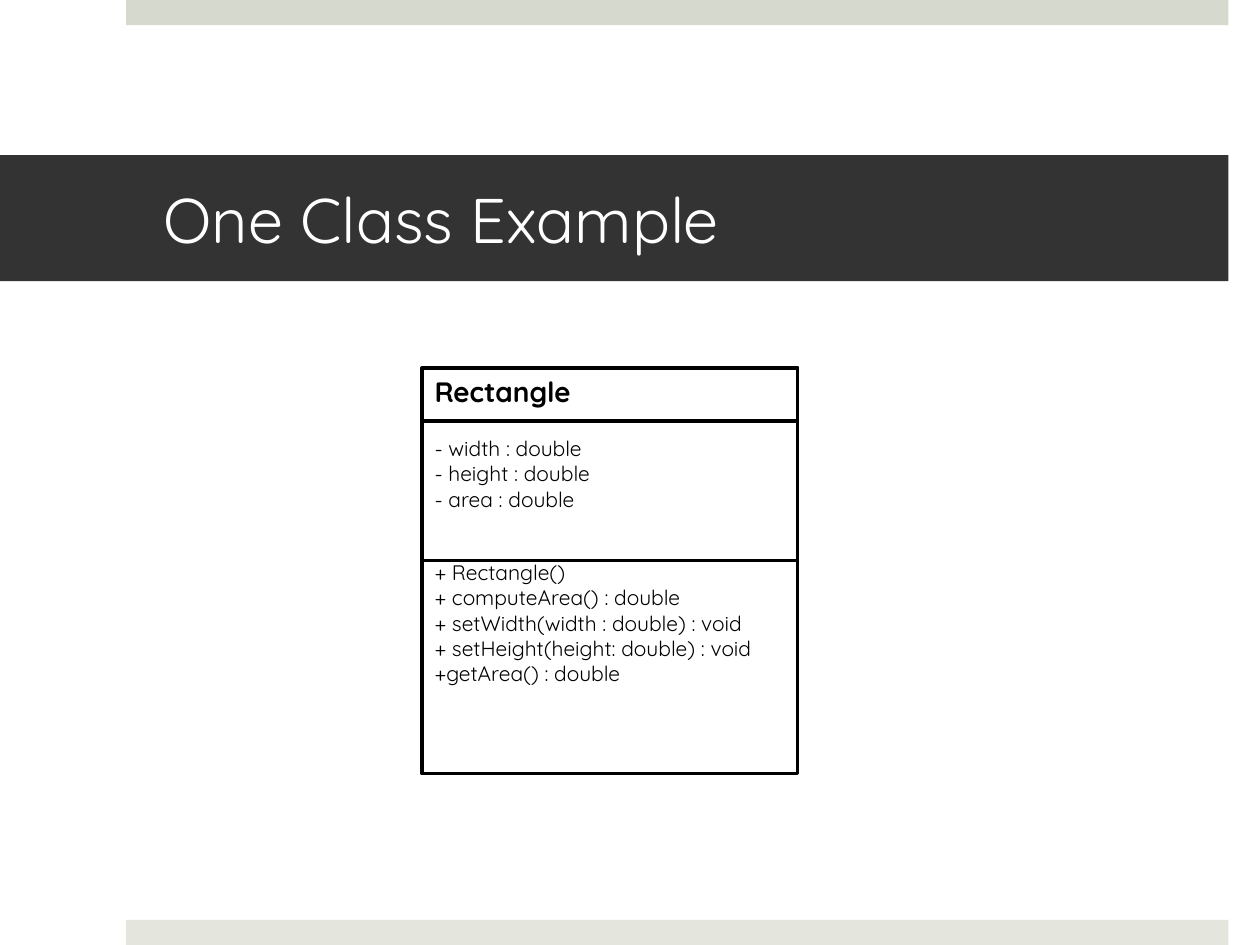
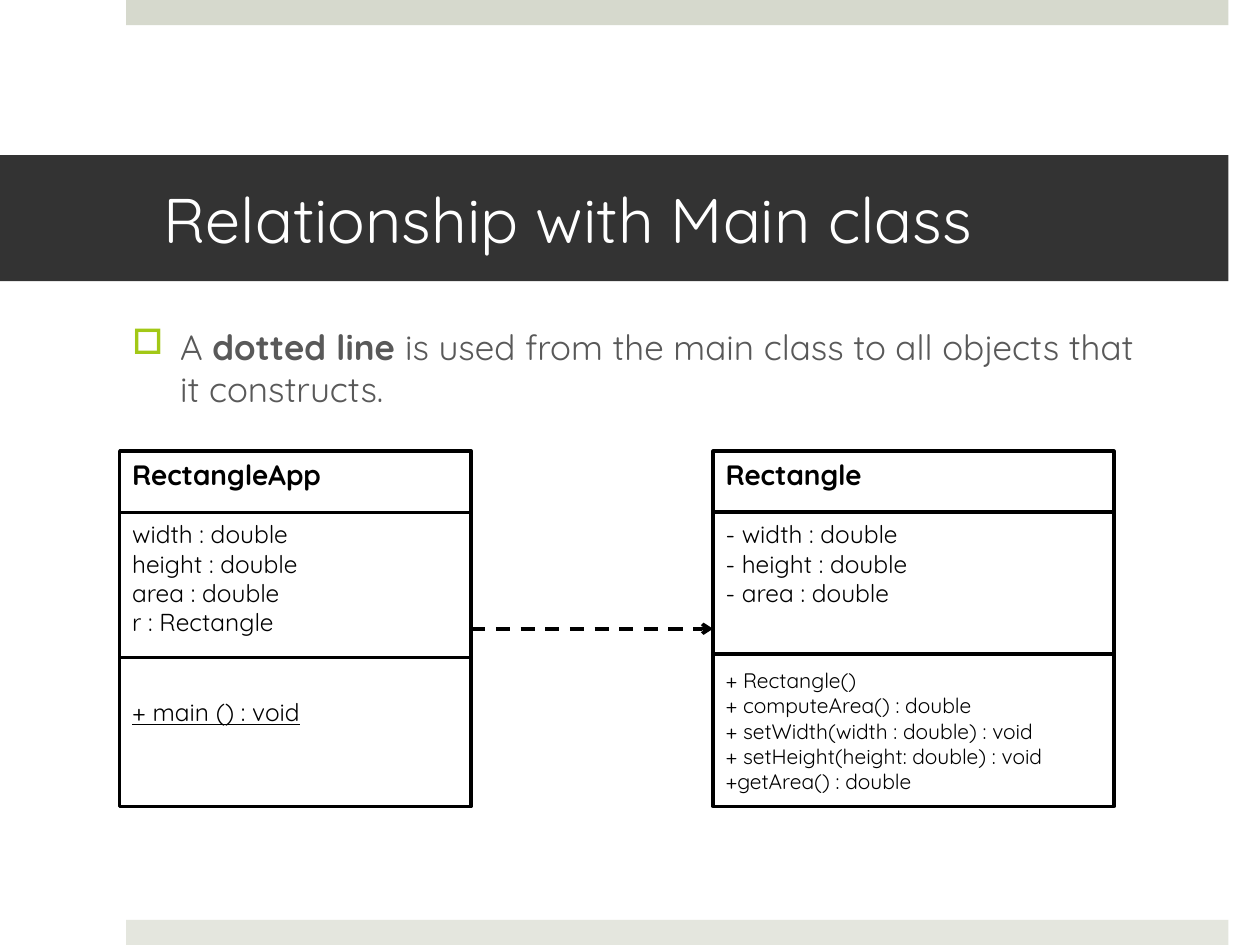
from lxml import etree
from pptx import Presentation
from pptx import util as u
from pptx.dml.color import RGBColor
from pptx.enum import dml, shapes, text
from pptx.oxml.ns import qn

FONT = "Quicksand"
COLORS = {
    "top_band": "D6D9CD",
    "bottom_band": "E4E6DE",
    "title_band": "333333",
    "white": "FFFFFF",
    "black": "000000",
    "body": "595959",
    "bullet": "A2C816",
}
BANDS = [(0, "top_band"), (525.6, "bottom_band")]
BLANK_LINE = 1.15

FIELDS = ["- width : double", "- height : double", "- area : double"]
METHODS = [
    "+ Rectangle()",
    "+ computeArea() : double",
    "+ setWidth(width : double) : void",
    "+ setHeight(height: double) : void",
    "+getArea() : double",
]
APP_FIELDS = ["width : double", "height : double", "area : double", "r : Rectangle"]

SLIDES = [
    {
        "title": "One Class Example",
        "classes": [
            {
                "name": "Rectangle",
                "box": (241.2, 210.2, 214.6, 231.8),
                "dividers": (240.5, 320.4),
                "sections": [(14, 12, False, FIELDS), (24, 12, False, METHODS)],
            },
        ],
    },
    {
        "title": "Relationship with Main class",
        "classes": [
            {
                "name": "Rectangle",
                "box": (407.5, 257.8, 229, 203),
                "dividers": (292.7, 373.7),
                "sections": [(14, 14, False, FIELDS), (30, 12, False, METHODS)],
            },
            {
                "name": "RectangleApp",
                "box": (68.4, 257.8, 200.9, 203),
                "dividers": (293, 375.8),
                "sections": [(14, 14, False, APP_FIELDS), (30, 14, True, ["+ main () : void"])],
            },
        ],
        "arrow": (269.3, 407.5, 359.3),
        "body": [
            ("A ", False),
            ("dotted line ", True),
            ("is used from the main class to all objects that it constructs.", False),
        ],
    },
]


def add_run(paragraph, words, size, color, bold=False, underline=False):
    run = paragraph.add_run()
    run.text = words
    run.font.name = FONT
    run.font.size = u.Pt(size)
    run.font.color.rgb = RGBColor.from_string(COLORS[color])
    run.font.bold = bold
    run.font.underline = underline


def add_line(slide, left, right, y):
    line = slide.shapes.add_connector(
        shapes.MSO_CONNECTOR.STRAIGHT, u.Pt(left), u.Pt(y), u.Pt(right), u.Pt(y))
    line.line.color.rgb = RGBColor.from_string(COLORS["black"])
    line.line.width = u.Pt(2)
    etree.SubElement(line._element.spPr, qn("a:effectLst"))
    return line


presentation = Presentation()
presentation.slide_width = u.Pt(720)
presentation.slide_height = u.Pt(540)

for content in SLIDES:
    slide = presentation.slides.add_slide(presentation.slide_layouts[5])

    for top, color in BANDS:
        band = slide.shapes.add_shape(
            shapes.MSO_SHAPE.RECTANGLE, u.Pt(72), u.Pt(top), u.Pt(630), u.Pt(14.4))
        band.shadow.inherit = False
        band.fill.solid()
        band.fill.fore_color.rgb = RGBColor.from_string(COLORS[color])
        band.line.fill.background()

    title = slide.shapes.title
    title.left, title.top, title.width, title.height = map(u.Pt, (0, 88.6, 702, 72))
    title.fill.solid()
    title.fill.fore_color.rgb = RGBColor.from_string(COLORS["title_band"])
    frame = title.text_frame
    frame.auto_size = text.MSO_AUTO_SIZE.NONE
    frame.vertical_anchor = text.MSO_ANCHOR.MIDDLE
    frame.margin_left, frame.margin_right = u.Pt(93.6), u.Pt(21.6)
    frame.paragraphs[0].alignment = text.PP_ALIGN.LEFT
    add_run(frame.paragraphs[0], content["title"], 36, "white")

    for uml_class in content["classes"]:
        left, top, width, height = uml_class["box"]
        box = slide.shapes.add_shape(
            shapes.MSO_SHAPE.RECTANGLE, u.Pt(left), u.Pt(top), u.Pt(width), u.Pt(height))
        box.shadow.inherit = False
        box.fill.solid()
        box.fill.fore_color.rgb = RGBColor.from_string(COLORS["white"])
        box.line.color.rgb = RGBColor.from_string(COLORS["black"])
        box.line.width = u.Pt(2)
        frame = box.text_frame
        frame.word_wrap = True
        frame.vertical_anchor = text.MSO_ANCHOR.TOP
        heading = frame.paragraphs[0]
        heading.alignment = text.PP_ALIGN.LEFT
        add_run(heading, uml_class["name"], 16, "black", bold=True)
        for gap, size, underline, members in uml_class["sections"]:
            for index, member in enumerate(members):
                paragraph = frame.add_paragraph()
                paragraph.alignment = text.PP_ALIGN.LEFT
                if index == 0:
                    paragraph.space_before = u.Pt(round(gap * BLANK_LINE, 1))
                add_run(paragraph, member, size, "black", underline=underline)
        for y in uml_class["dividers"]:
            add_line(slide, left, left + width, y)

    if "arrow" in content:
        arrow = add_line(slide, *content["arrow"])
        arrow.line.dash_style = dml.MSO_LINE.DASH
        etree.SubElement(arrow.line._get_or_add_ln(), qn("a:tailEnd"), type="arrow")

    if "body" in content:
        body = slide.shapes.add_textbox(u.Pt(68.4), u.Pt(182.2), u.Pt(599), u.Pt(63.4))
        body.text_frame.word_wrap = True
        paragraph = body.text_frame.paragraphs[0]
        properties = paragraph._p.get_or_add_pPr()
        properties.set("marL", str(u.Pt(27.4)))
        properties.set("indent", str(u.Pt(-27.4)))
        bullet_color = etree.SubElement(properties, qn("a:buClr"))
        etree.SubElement(bullet_color, qn("a:srgbClr"), val=COLORS["bullet"])
        etree.SubElement(properties, qn("a:buChar"), char="□")
        for words, bold in content["body"]:
            add_run(paragraph, words, 20, "body", bold=bold)

presentation.save("out.pptx")
